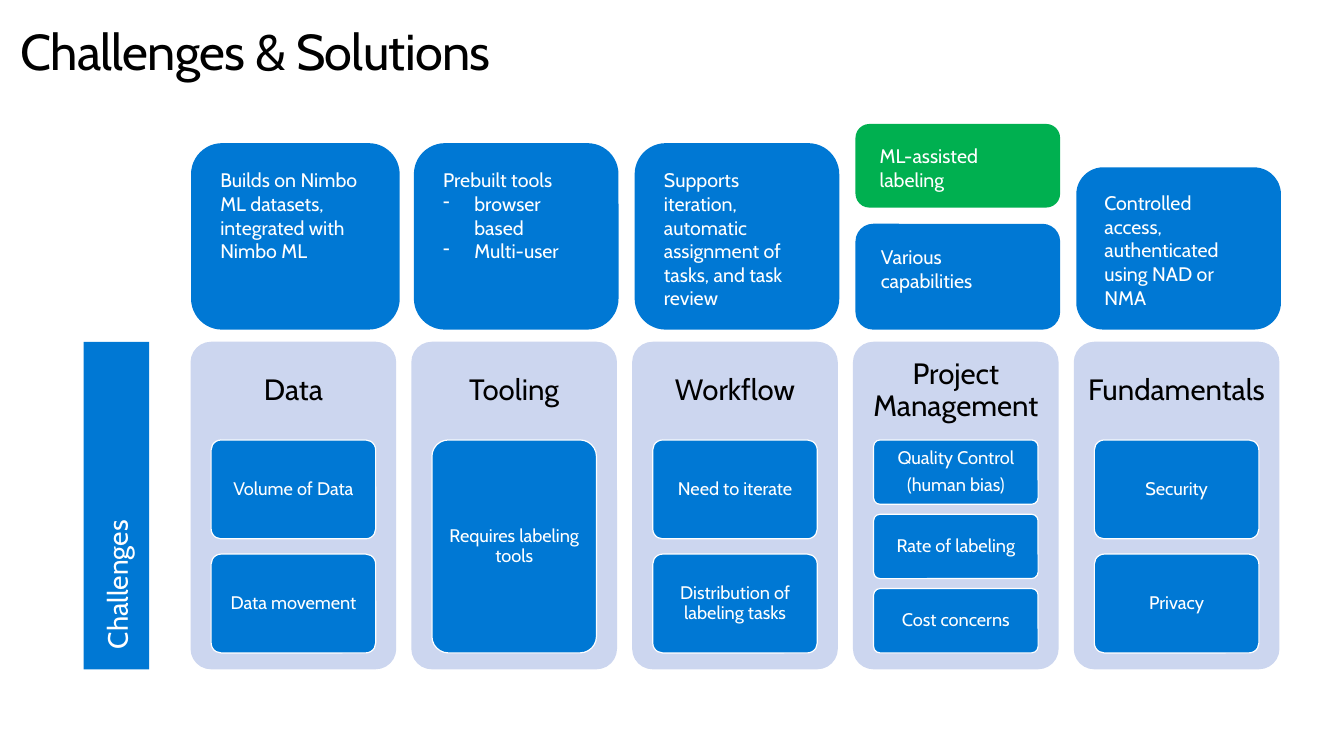
from collections import namedtuple

from lxml import etree
from pptx import Presentation
from pptx.dml.color import RGBColor
from pptx.enum.shapes import MSO_SHAPE as Preset
from pptx.enum.text import MSO_ANCHOR as Anchor, PP_ALIGN as Align
from pptx.oxml.ns import qn
from pptx.util import Inches, Pt

BLUE = RGBColor(0x00, 0x78, 0xD4)
GREEN = RGBColor(0x00, 0xB0, 0x50)
PALE = RGBColor(0xCC, 0xD6, 0xEF)
WHITE = RGBColor(0xFF, 0xFF, 0xFF)
BLACK = RGBColor(0x00, 0x00, 0x00)
FONT = "Cabin"

Box = namedtuple("Box", "left top width height")
Card = namedtuple("Card", "text height color")
Column = namedtuple("Column", "heading challenges card_width cards")

# Grid of the five topics, in inches
GRID_LEFT, PITCH = 1.89, 2.19
PANEL_TOP, PANEL_WIDTH, PANEL_HEIGHT = 3.39, 2.04, 3.25
CARD_BOTTOM, CARD_GAP, CARD_CENTRE = 3.27, 0.16, 1.04
TILE_GAP = 0.154  # share of a tile's height
CARD_INSETS, TILE_INSETS, HEADING_INSETS = (0.2, 0.16), (0.04, 0.03), (0.09, 0.09)

# Cards are listed from bottom to top; a line starting with "- " is a bullet
COLUMNS = [
    Column("Data", ["Volume of Data", "Data movement"], 2.07,
           [Card("Builds on Nimbo ML datasets, integrated with Nimbo ML", 1.85, BLUE)]),
    Column("Tooling", ["Requires labeling tools"], 2.03,
           [Card("Prebuilt tools\n- browser based\n- Multi-user", 1.85, BLUE)]),
    Column("Workflow", ["Need to iterate", "Distribution of labeling tasks"], 2.03,
           [Card("Supports iteration, automatic assignment of tasks, and task review",
                 1.85, BLUE)]),
    Column("Project Management",
           ["Quality Control\n(human bias)", "Rate of labeling", "Cost concerns"], 2.03,
           [Card("Various capabilities", 1.05, BLUE),
            Card("ML-assisted labeling", 0.83, GREEN)]),
    Column("Fundamentals", ["Security", "Privacy"], 2.03,
           [Card("Controlled access, authenticated using NAD or NMA", 1.61, BLUE)]),
]


def add_bullet(paragraph):
    properties = paragraph._p.get_or_add_pPr()
    properties.set("marL", str(Inches(0.31)))
    properties.set("indent", str(-Inches(0.31)))
    etree.SubElement(properties, qn("a:buChar")).set("char", "-")


def write(shape, text, size, color, insets, centred=False):
    frame = shape.text_frame
    frame.word_wrap = True
    frame.margin_left = frame.margin_right = Inches(insets[0])
    frame.margin_top = frame.margin_bottom = Inches(insets[1])
    frame.vertical_anchor = Anchor.MIDDLE if centred else Anchor.TOP
    lines = text.split("\n")
    frame.text = "\n".join(line.removeprefix("- ") for line in lines)
    for line, paragraph in zip(lines, frame.paragraphs):
        paragraph.alignment = Align.CENTER if centred else Align.LEFT
        if centred:
            paragraph.line_spacing = 0.9
            if line != lines[-1]:
                paragraph.space_after = Pt(size * 0.35)
        if line.startswith("- "):
            add_bullet(paragraph)
        for run in paragraph.runs:
            run.font.name = FONT
            run.font.size = Pt(size)
            run.font.color.rgb = color


def add_block(slide, box, fill, preset=Preset.ROUNDED_RECTANGLE):
    block = slide.shapes.add_shape(preset, *map(Inches, box))
    block.shadow.inherit = False
    block.fill.solid()
    block.fill.fore_color.rgb = fill
    block.line.fill.background()
    return block


def add_title(slide, box):
    title = slide.shapes.add_textbox(*map(Inches, box))
    write(title, "Challenges & Solutions", 36, BLACK, (0, 0))
    for run in title.text_frame.paragraphs[0].runs:
        run._r.get_or_add_rPr().set("spc", "-50")


def add_side_label(slide, box):
    # Drawn lying down around the box's centre, then turned upright
    lying = Box(box.left + (box.width - box.height) / 2,
                box.top + (box.height - box.width) / 2, box.height, box.width)
    label = add_block(slide, lying, BLUE, Preset.RECTANGLE)
    label.rotation = 270
    write(label, "Challenges", 20, WHITE, CARD_INSETS)


def add_challenge_panel(slide, box, heading, challenges):
    panel = add_block(slide, box, PALE)
    panel.adjustments[0] = 0.1
    heading_box = box._replace(height=box.height * 0.3)
    heading_text = slide.shapes.add_textbox(*map(Inches, heading_box))
    write(heading_text, heading, 21, BLACK, HEADING_INSETS, centred=True)

    # Tiles share the space below the heading
    count = len(challenges)
    tile_height = box.height * 0.65 / (count + TILE_GAP * (count - 1))
    for row, challenge in enumerate(challenges):
        top = box.top + box.height * 0.3 + row * tile_height * (1 + TILE_GAP)
        tile = add_block(slide, Box(box.left + box.width * 0.1, top,
                                    box.width * 0.8, tile_height), BLUE)
        tile.adjustments[0] = 0.1
        tile.line.color.rgb = WHITE
        tile.line.width = Pt(0.85)
        write(tile, challenge, 13, WHITE, TILE_INSETS, centred=True)


def add_solution_cards(slide, centre, bottom, width, cards):
    for card in cards:
        top = bottom - card.height
        block = add_block(slide, Box(centre - width / 2, top, width, card.height), card.color)
        write(block, card.text, 14, WHITE, CARD_INSETS)
        bottom = top - CARD_GAP


def main():
    deck = Presentation()
    deck.slide_width, deck.slide_height = Inches(13.33), Inches(7.5)
    slide = deck.slides.add_slide(deck.slide_layouts[6])

    add_title(slide, Box(0.2, 0.2, 12.05, 0.61))
    for index, column in enumerate(COLUMNS):
        left = GRID_LEFT + index * PITCH
        add_challenge_panel(slide, Box(left, PANEL_TOP, PANEL_WIDTH, PANEL_HEIGHT),
                            column.heading, column.challenges)
        add_solution_cards(slide, left + CARD_CENTRE, CARD_BOTTOM,
                           column.card_width, column.cards)
    add_side_label(slide, Box(0.83, PANEL_TOP, 0.65, PANEL_HEIGHT))

    deck.save("out.pptx")


if __name__ == "__main__":
    main()
